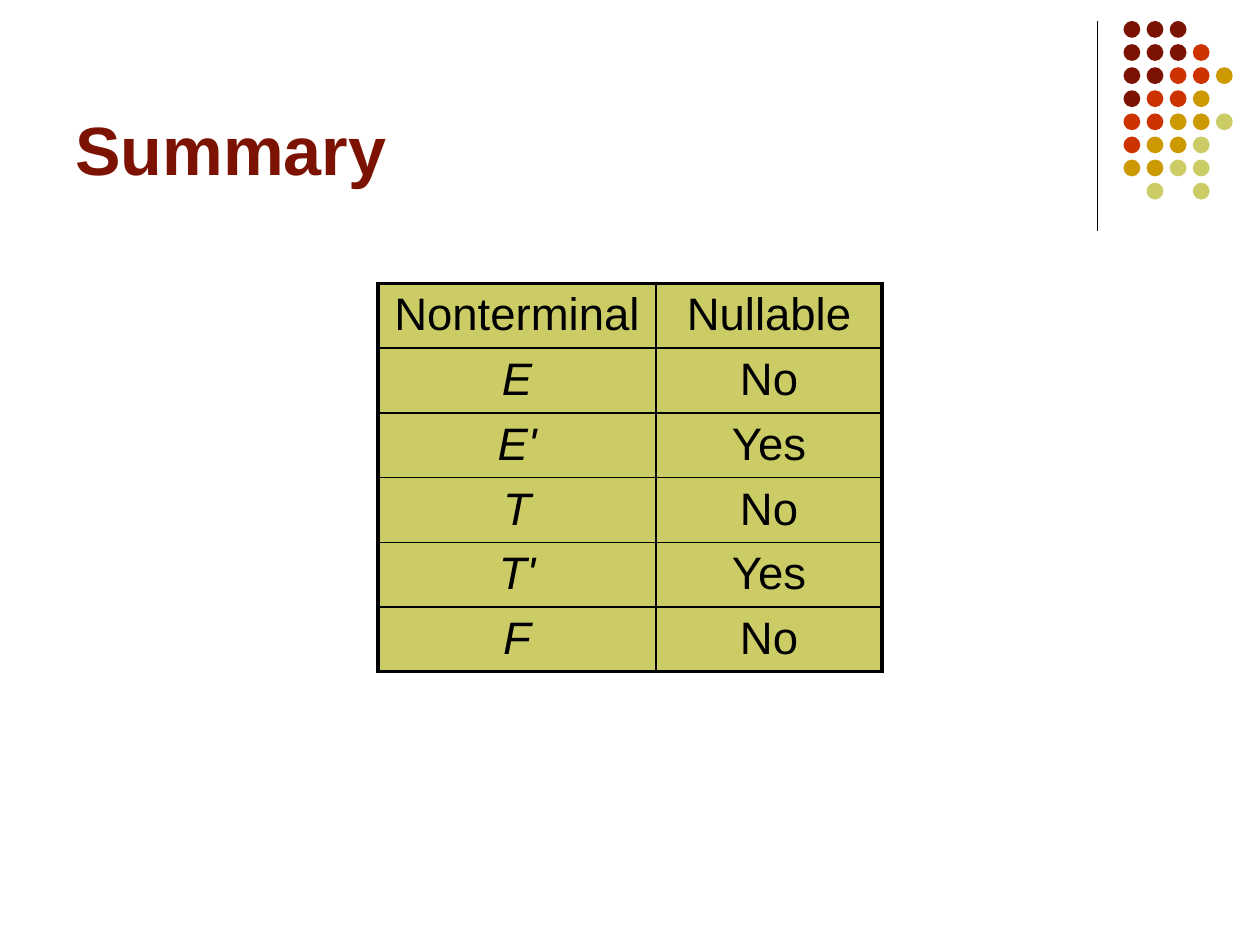
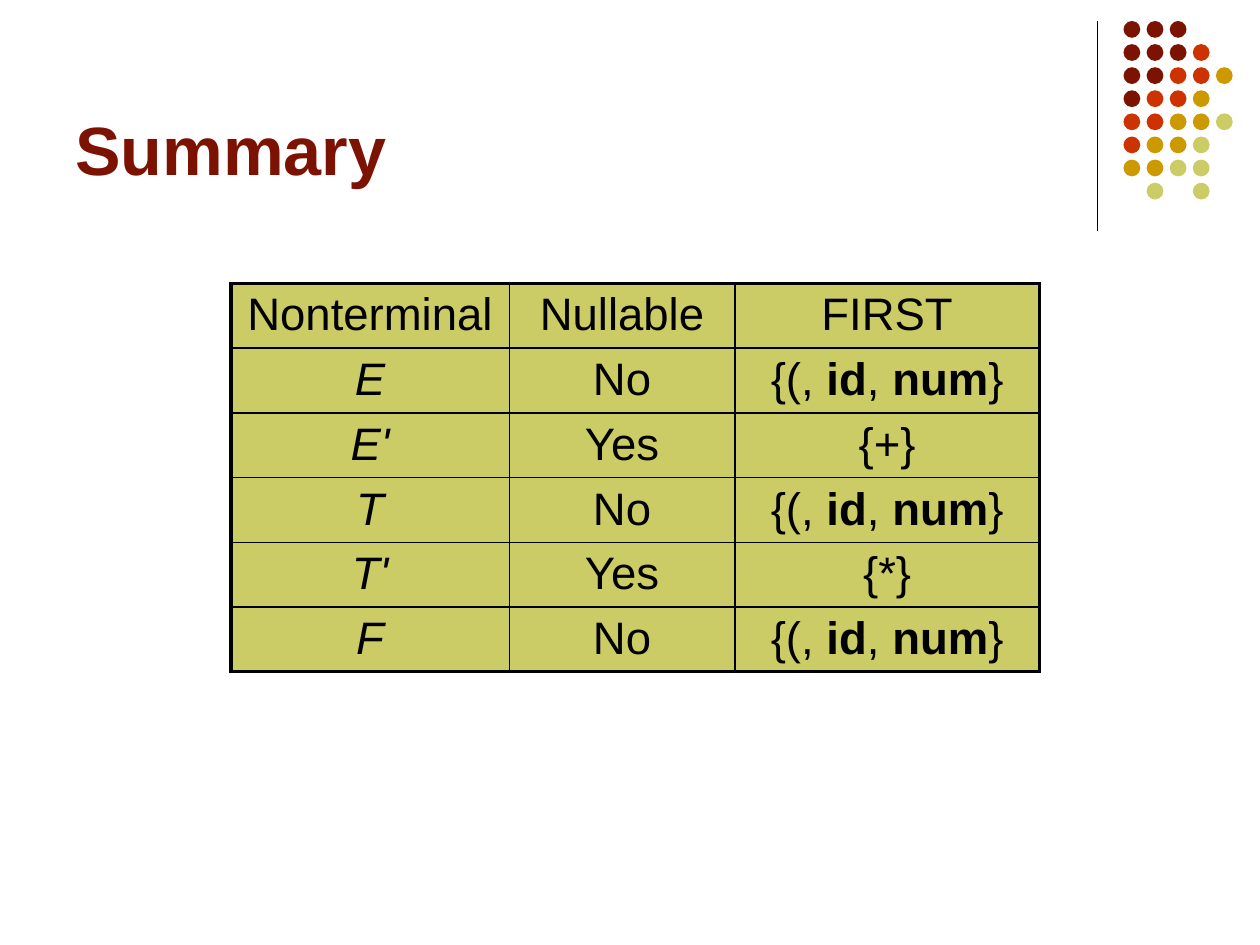
from collections import namedtuple

from lxml import etree
from pptx import Presentation
from pptx.dml.color import RGBColor
from pptx.enum.shapes import MSO_CONNECTOR, MSO_SHAPE
from pptx.enum.text import MSO_ANCHOR, PP_ALIGN
from pptx.oxml.ns import qn
from pptx.util import Inches, Pt

OVAL = MSO_SHAPE.OVAL
STRAIGHT = MSO_CONNECTOR.STRAIGHT
BOTTOM, TOP = MSO_ANCHOR.BOTTOM, MSO_ANCHOR.TOP
CENTER = PP_ALIGN.CENTER

BLACK = RGBColor(0x00, 0x00, 0x00)
MAROON = RGBColor(0x7C, 0x13, 0x02)
RED = RGBColor(0xCC, 0x33, 0x00)
GOLD = RGBColor(0xCC, 0x99, 0x00)
OLIVE = RGBColor(0xCC, 0xCC, 0x66)

FONT = "Arial"
SLIDE_WIDTH, SLIDE_HEIGHT = Inches(10), Inches(7.5)
GRID_COLUMNS = 24
UNIT = SLIDE_WIDTH / GRID_COLUMNS

Box = namedtuple("Box", "left top width height")
TITLE_BOX = Box(1.2, 0.32, 19.8, 3.4)
DIVIDER_BOX = Box(20.9, 0.4, 0, 4)
DOTS_BOX = Box(21.4, 0.4, 2.08, 3.4)
DOT_SIZE = 0.32
DOT_COLORS = {"M": MAROON, "R": RED, "G": GOLD, "O": OLIVE}
DOT_ROWS = ["MMM", "MMMR", "MMRRG", "MRRG", "RRGGO", "RGGO", "GGOO", " O O"]

TABLE_TOP = 5.4
ROW_HEIGHT = 1.21
COLUMN_WIDTHS = [5.3, 4.3, 5.8]
OUTER_LINE, INNER_LINE = Pt(2.25), Pt(1)

TERMINALS = "{(, **id**, **num**}"
GRAMMAR_ROWS = [
    ("Nonterminal", "Nullable", "FIRST"),
    ("E", "No", TERMINALS),
    ("E'", "Yes", "{+}"),
    ("T", "No", TERMINALS),
    ("T'", "Yes", "{*}"),
    ("F", "No", TERMINALS),
]


def grid(*lengths):
    """Turn lengths in grid units into slide lengths."""
    return [round(length * UNIT) for length in lengths]


def style_font(font, size, color, bold=None, italic=None):
    """Apply the shared typeface with the given look."""
    font.name, font.size, font.bold, font.italic = FONT, Pt(size), bold, italic
    font.color.rgb = color


def add_title(slide, text, box):
    """Place the title on the bottom edge of its box."""
    frame = slide.shapes.add_textbox(*grid(*box)).text_frame
    frame.word_wrap = True
    frame.vertical_anchor = BOTTOM
    paragraph = frame.paragraphs[0]
    paragraph.text = text
    style_font(paragraph.font, 39, MAROON, bold=True)


def add_divider(slide, box):
    """Draw the thin vertical rule beside the title."""
    ends = (box.left, box.top, box.left + box.width, box.top + box.height)
    divider = slide.shapes.add_connector(STRAIGHT, *grid(*ends))
    divider.line.color.rgb = BLACK
    divider.line.width = Pt(0.75)
    etree.SubElement(divider._element.spPr, qn("a:effectLst"))


def add_dots(slide, box):
    """Fill the box with the grouped pattern of coloured dots."""
    column_step = (box.width - DOT_SIZE) / (max(map(len, DOT_ROWS)) - 1)
    row_step = (box.height - DOT_SIZE) / (len(DOT_ROWS) - 1)
    group = slide.shapes.add_group_shape()
    for row, codes in enumerate(DOT_ROWS):
        for column, code in enumerate(codes):
            if code not in DOT_COLORS:
                continue
            left, top = box.left + column * column_step, box.top + row * row_step
            dot = group.shapes.add_shape(OVAL, *grid(left, top, DOT_SIZE, DOT_SIZE))
            dot.shadow.inherit = False
            dot.fill.solid()
            dot.fill.fore_color.rgb = DOT_COLORS[code]
            dot.line.fill.background()


def set_borders(cell, outer_sides):
    """Draw the cell's four borders, thicker on the outer sides."""
    properties = cell._tc.get_or_add_tcPr()
    for side in "LRTB":
        width = OUTER_LINE if side in outer_sides else INNER_LINE
        line = etree.SubElement(properties, qn(f"a:ln{side}"), w=str(width))
        fill = etree.SubElement(line, qn("a:solidFill"))
        etree.SubElement(fill, qn("a:srgbClr"), val=str(BLACK))


def fill_cell(cell, text, italic, outer_sides):
    """Write centred text, with bold parts between double asterisks."""
    set_borders(cell, outer_sides)
    cell.fill.solid()
    cell.fill.fore_color.rgb = OLIVE
    cell.vertical_anchor = TOP
    cell.margin_top, cell.margin_bottom = Inches(0.05), Inches(0.03)
    paragraph = cell.text_frame.paragraphs[0]
    paragraph.alignment = CENTER
    for index, part in enumerate(text.split("**")):
        run = paragraph.add_run()
        run.text = part
        style_font(run.font, 26, BLACK, bold=index % 2 == 1, italic=italic)


def add_grammar_table(slide, left, column_count):
    """Show the first columns of the grammar facts as a table."""
    widths = COLUMN_WIDTHS[:column_count]
    row_count = len(GRAMMAR_ROWS)
    box = Box(left, TABLE_TOP, sum(widths), row_count * ROW_HEIGHT)
    table = slide.shapes.add_table(row_count, column_count, *grid(*box)).table
    table.first_row = table.horz_banding = False
    for column, width in zip(table.columns, grid(*widths)):
        column.width = width
    for row, texts in enumerate(GRAMMAR_ROWS):
        for column, text in enumerate(texts[:column_count]):
            edges = {"L": column == 0, "R": column == column_count - 1,
                     "T": row == 0, "B": row == row_count - 1}
            outer_sides = [side for side, outer in edges.items() if outer]
            italic = column == 0 and row > 0
            fill_cell(table.cell(row, column), text, italic, outer_sides)


def add_summary_slide(presentation, table_left, column_count):
    """Add a summary slide with its decoration, title and table."""
    slide = presentation.slides.add_slide(presentation.slide_layouts[6])
    add_divider(slide, DIVIDER_BOX)
    add_dots(slide, DOTS_BOX)
    add_title(slide, "Summary", TITLE_BOX)
    add_grammar_table(slide, table_left, column_count)


def main():
    """Build and save the presentation."""
    presentation = Presentation()
    presentation.slide_width, presentation.slide_height = SLIDE_WIDTH, SLIDE_HEIGHT
    add_summary_slide(presentation, table_left=7.2, column_count=2)
    add_summary_slide(presentation, table_left=4.4, column_count=3)
    presentation.save("out.pptx")


if __name__ == "__main__":
    main()
